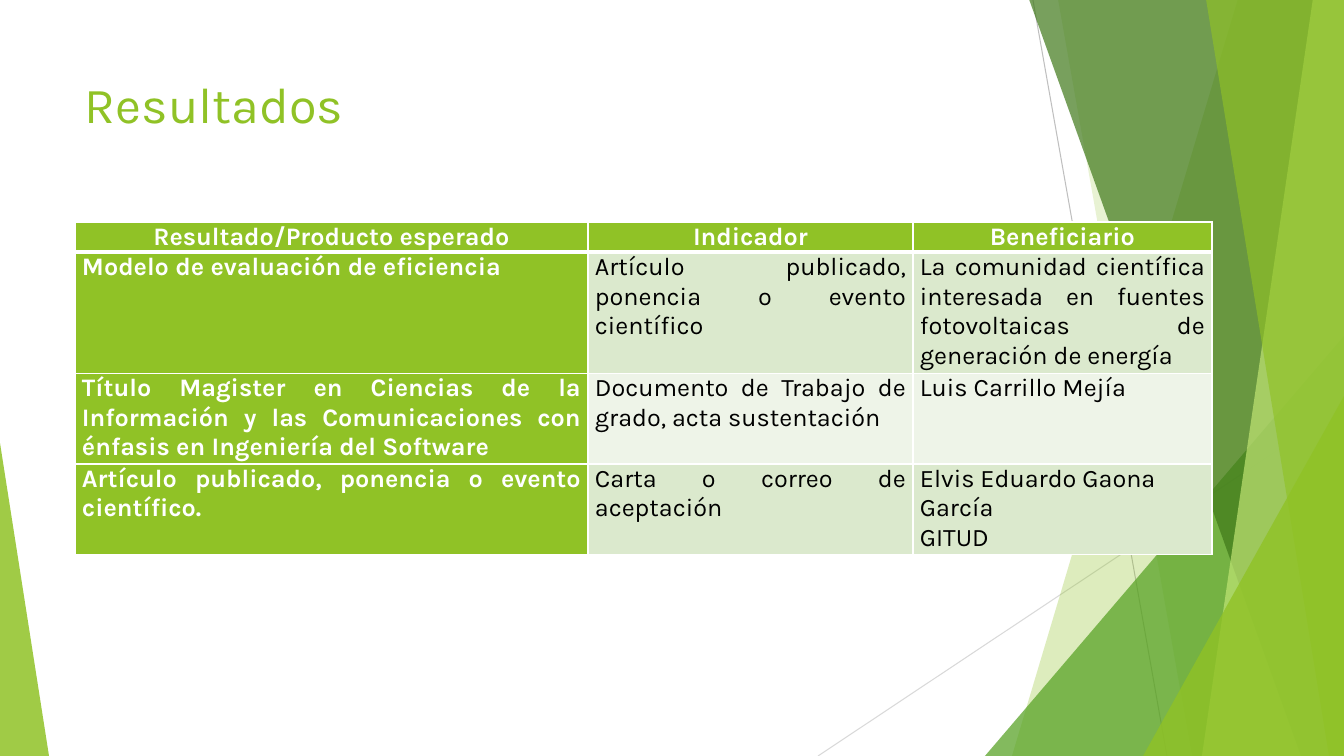
from lxml.etree import SubElement
from pptx import Presentation
from pptx.dml.color import RGBColor
from pptx.enum.shapes import MSO_CONNECTOR as Connector, MSO_SHAPE as Shape
from pptx.enum.text import MSO_ANCHOR as Anchor, PP_ALIGN as Align
from pptx.oxml import parse_xml
from pptx.oxml.ns import nsdecls, qn
from pptx.util import Emu, Pt

SCALE = 914400 / 100.8
WIDTH, HEIGHT = 1344, 756
FONT = "Karla"
COLORS = {
    "green": "90C226",
    "leaf": "54A021",
    "forest": "3F7819",
    "lime": "C0E474",
    "band": "DBE9CD",
    "pale": "EEF4E8",
    "white": "FFFFFF",
    "black": "000000",
    "silver": "BFBFBF",
    "mist": "D9D9D9",
}
COLUMN_WIDTHS = [513, 325, 299]
ROW_HEIGHTS = [30, 118, 89, 89]
HEADINGS = ["Resultado/Producto esperado", "Indicador", "Beneficiario"]
RESULTS = [
    ["Modelo de evaluación de eficiencia",
     "Artículo publicado, ponencia o evento científico",
     "La comunidad científica interesada en fuentes fotovoltaicas de generación de energía"],
    ["Título Magister en Ciencias de la Información y las Comunicaciones con énfasis en Ingeniería del Software",
     "Documento de Trabajo de grado, acta sustentación",
     "Luis Carrillo Mejía"],
    ["Artículo publicado, ponencia o evento científico.",
     "Carta o correo de aceptación",
     "Elvis Eduardo Gaona García\nGITUD"],
]


def px(length):
    return Emu(round(length * SCALE))


def rgb(name):
    return RGBColor.from_string(COLORS[name])


def add_line(page, start, end, color):
    line = page.shapes.add_connector(Connector.STRAIGHT, *map(px, start + end))
    line.line.color.rgb = rgb(color)
    line.line.width = Pt(0.75)
    SubElement(line._element.spPr, qn("a:effectLst"))


def paint(shape, color, opacity):
    shape.shadow.inherit = False
    shape.line.fill.background()
    shape.fill.solid()
    shape.fill.fore_color.rgb = rgb(color)
    tint = shape._element.spPr.find(qn("a:solidFill"))[0]
    SubElement(tint, qn("a:alpha"), val=str(opacity * 1000))


def add_facet(page, top_left, top_right, bottom_left, color, opacity):
    builder = page.shapes.build_freeform(top_left, -1, scale=SCALE)
    corners = [(top_right, -1), (WIDTH, HEIGHT), (bottom_left, HEIGHT)]
    builder.add_line_segments(corners, close=True)
    paint(builder.convert_to_shape(), color, opacity)


def add_triangle(page, left, top, width, apex, color, opacity):
    triangle = page.shapes.add_shape(
        Shape.ISOSCELES_TRIANGLE, px(left), px(top), px(width), px(HEIGHT - top))
    triangle.adjustments[0] = apex
    paint(triangle, color, opacity)


def add_span(para, text, size, color, bold=False):
    span = para.add_run()
    span.text = text
    span.font.name = FONT
    span.font.size = Pt(size)
    span.font.bold = bold
    span.font.color.rgb = rgb(color)


def add_title(page, text):
    box = page.shapes.add_textbox(px(75), px(68), px(947), px(145))
    box.text_frame.word_wrap = True
    box.text_frame.vertical_anchor = Anchor.TOP
    add_span(box.text_frame.paragraphs[0], text, 36, "green")


def set_borders(cell, top, bottom):
    properties = cell._tc.get_or_add_tcPr()
    widths = {"lnL": 1, "lnR": 1, "lnT": top, "lnB": bottom}
    for index, (side, points) in enumerate(widths.items()):
        properties.insert(index, parse_xml(
            f'<a:{side} {nsdecls("a")} w="{Pt(points)}"><a:solidFill>'
            f'<a:srgbClr val="{COLORS["white"]}"/></a:solidFill></a:{side}>'))


def fill_cell(cell, text, fill, color, bold, align):
    cell.margin_left = cell.margin_right = px(7)
    cell.margin_top = cell.margin_bottom = 0
    cell.vertical_anchor = Anchor.TOP
    cell.fill.solid()
    cell.fill.fore_color.rgb = rgb(fill)
    for index, line in enumerate(text.split("\n")):
        frame = cell.text_frame
        para = frame.add_paragraph() if index else frame.paragraphs[0]
        para.alignment = align
        add_span(para, line, 18, color, bold)


def add_results_table(page):
    rows = [HEADINGS] + RESULTS
    table = page.shapes.add_table(
        len(rows), len(HEADINGS), px(75), px(222),
        px(sum(COLUMN_WIDTHS)), px(sum(ROW_HEIGHTS))).table
    table.horz_banding = False
    for column, width in zip(table.columns, COLUMN_WIDTHS):
        column.width = px(width)
    for row, height in zip(table.rows, ROW_HEIGHTS):
        row.height = px(height)
    for r, texts in enumerate(rows):
        for c, text in enumerate(texts):
            cell = table.cell(r, c)
            heading = r == 0 or c == 0
            band = "band" if r % 2 else "pale"
            align = Align.CENTER if r == 0 else Align.JUSTIFY
            if "\n" in text:
                align = Align.LEFT
            fill_cell(cell, text, "green" if heading else band,
                      "white" if heading else "black", heading, align)
            set_borders(cell, 3 if r == 1 else 1, 3 if r == 0 else 1)


def add_backdrop(page):
    add_line(page, (1033, 0), (1167, HEIGHT), "silver")
    add_line(page, (WIDTH, 406), (818, HEIGHT), "mist")
    add_facet(page, 1238, WIDTH, 1012, "green", 30)
    add_facet(page, 1058, WIDTH, 1192, "green", 20)
    add_triangle(page, 985, 336, 359, 1, "leaf", 72)
    add_facet(page, 1029, WIDTH, 1301, "forest", 70)
    add_facet(page, 1313, WIDTH, 1202, "lime", 70)
    add_facet(page, 1206, WIDTH, 1329, "green", 65)
    add_triangle(page, 1143, 396, 201, 1, "green", 80)
    add_triangle(page, 0, 443, 49, 0, "green", 85)


def main():
    deck = Presentation()
    deck.slide_width, deck.slide_height = px(WIDTH), px(HEIGHT)
    page = deck.slides.add_slide(deck.slide_layouts[6])
    add_backdrop(page)
    add_title(page, "Resultados")
    add_results_table(page)
    deck.save("out.pptx")


if __name__ == "__main__":
    main()
